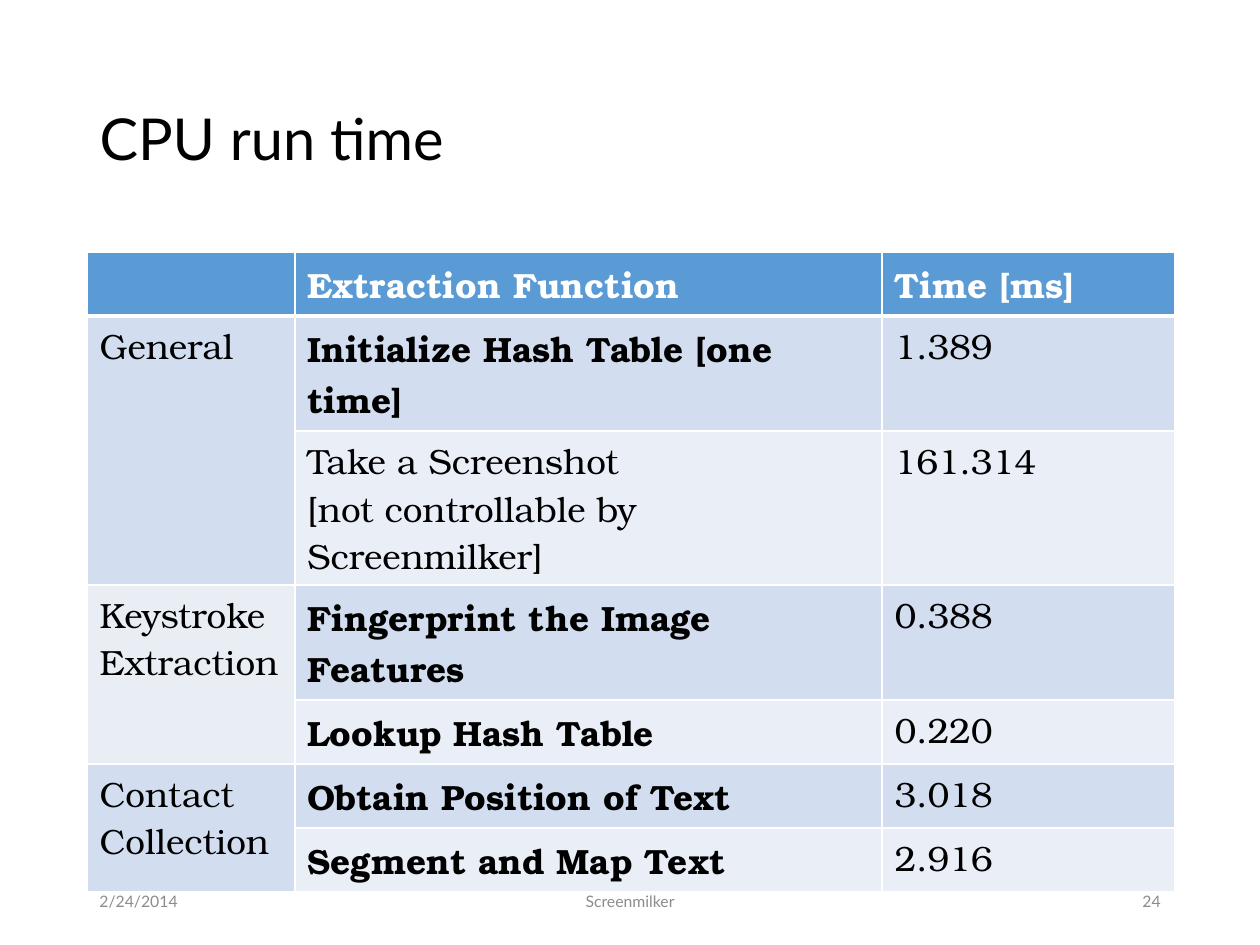
"""Build the CPU run time slide: a title, a grouped timing table and a footer."""
from lxml.etree import SubElement
from pptx import Presentation
from pptx.dml.color import RGBColor
from pptx.enum.text import MSO_ANCHOR as Anchor, PP_ALIGN as Align
from pptx.oxml import parse_xml
from pptx.oxml.ns import nsdecls, qn
from pptx.util import Inches, Pt

BLACK = RGBColor(0x00, 0x00, 0x00)
WHITE = RGBColor(0xFF, 0xFF, 0xFF)
GRAY = RGBColor(0x8C, 0x8C, 0x8C)
BLUE = RGBColor(0x5B, 0x9B, 0xD5)
BAND_DARK = RGBColor(0xD2, 0xDE, 0xEF)
BAND_LIGHT = RGBColor(0xEA, 0xEF, 0xF7)
GROUP_LIGHT = RGBColor(0xE9, 0xED, 0xF4)

TITLE = "CPU run time"
HEADERS = ("", "Extraction Function", "Time [ms]")
GROUPS = (
    ("General", BAND_DARK, (
        ("Initialize Hash Table [one time]", "1.389", True),
        ("Take a Screenshot\n[not controllable by Screenmilker]", "161.314", False),
    )),
    ("Keystroke Extraction", GROUP_LIGHT, (
        ("Fingerprint the Image Features", "0.388", True),
        ("Lookup Hash Table", "0.220", True),
    )),
    ("Contact Collection", BAND_DARK, (
        ("Obtain Position of Text", "3.018", True),
        ("Segment and Map Text", "2.916", True),
    )),
)
FOOTERS = (
    ("2/24/2014", 0.69, 2.25, Align.LEFT),
    ("Screenmilker", 3.31, 3.38, Align.CENTER),
    ("24", 7.06, 2.25, Align.RIGHT),
)
COLUMN_WIDTHS = (1.65, 4.66, 2.32)
LEFT, WIDTH, ROW_HEIGHT = 0.69, 8.62, 0.41

TITLE_FONT = {"name": "Lato", "size": Pt(33), "bold": False}
FOOTER_FONT = {"name": "Lato", "size": Pt(9)}
TABLE_FONT = {"name": "TeX Gyre Bonum", "size": Pt(20)}


def format_text(frame, font_values, color, align=Align.LEFT):
    for paragraph in frame.paragraphs:
        paragraph.alignment = align
        for key, value in font_values.items():
            setattr(paragraph.font, key, value)
        paragraph.font.color.rgb = color


def set_borders(cell, top=1, bottom=1):
    widths = (("lnL", 1), ("lnR", 1), ("lnT", top), ("lnB", bottom))
    properties = cell._tc.get_or_add_tcPr()
    for position, (side, points) in enumerate(widths):
        line = parse_xml(f'<a:{side} {nsdecls("a")} w="{Pt(points)}"/>')
        fill = SubElement(line, qn("a:solidFill"))
        SubElement(fill, qn("a:srgbClr"), val=str(WHITE))
        properties.insert(position, line)


def fill_cell(cell, text, fill, color=BLACK, bold=False, **borders):
    cell.text = text
    cell.fill.solid()
    cell.fill.fore_color.rgb = fill
    format_text(cell.text_frame, {**TABLE_FONT, "bold": bold}, color)
    set_borders(cell, **borders)


def add_title(slide):
    title = slide.shapes.title
    title.left, title.top = Inches(LEFT), Inches(0.4)
    title.width, title.height = Inches(WIDTH), Inches(1.45)
    title.text = TITLE
    title.text_frame.vertical_anchor = Anchor.MIDDLE
    title.text_frame.paragraphs[0].line_spacing = 0.9
    format_text(title.text_frame, TITLE_FONT, BLACK)


def add_timing_table(slide):
    row_count = 1 + sum(len(functions) for _, _, functions in GROUPS)
    table = slide.shapes.add_table(
        row_count, len(HEADERS), Inches(LEFT), Inches(2),
        Inches(WIDTH), Inches(ROW_HEIGHT * row_count)).table
    for column, width in zip(table.columns, COLUMN_WIDTHS):
        column.width = Inches(width)
    for row in table.rows:
        row.height = Inches(ROW_HEIGHT)
    for column, header in enumerate(HEADERS):
        fill_cell(table.cell(0, column), header, BLUE, WHITE, True, bottom=3)

    row = 1
    for group, group_fill, functions in GROUPS:
        first = row
        for function, time, bold in functions:
            band = BAND_DARK if row % 2 else BAND_LIGHT
            top = 3 if row == 1 else 1
            label = group if row == first else ""
            fill_cell(table.cell(row, 0), label, group_fill, top=top)
            fill_cell(table.cell(row, 1), function, band, bold=bold, top=top)
            fill_cell(table.cell(row, 2), time, band, top=top)
            row += 1
        table.cell(first, 0).merge(table.cell(row - 1, 0))


def add_footers(slide):
    for text, left, width, align in FOOTERS:
        footer = slide.shapes.add_textbox(
            Inches(left), Inches(6.95), Inches(width), Inches(0.4)).text_frame
        footer.word_wrap = True
        footer.vertical_anchor = Anchor.MIDDLE
        footer.text = text
        format_text(footer, FOOTER_FONT, GRAY, align)


def main():
    deck = Presentation()
    deck.slide_width, deck.slide_height = Inches(10), Inches(7.5)
    slide = deck.slides.add_slide(deck.slide_layouts[5])
    add_title(slide)
    add_timing_table(slide)
    add_footers(slide)
    deck.save("out.pptx")


if __name__ == "__main__":
    main()
